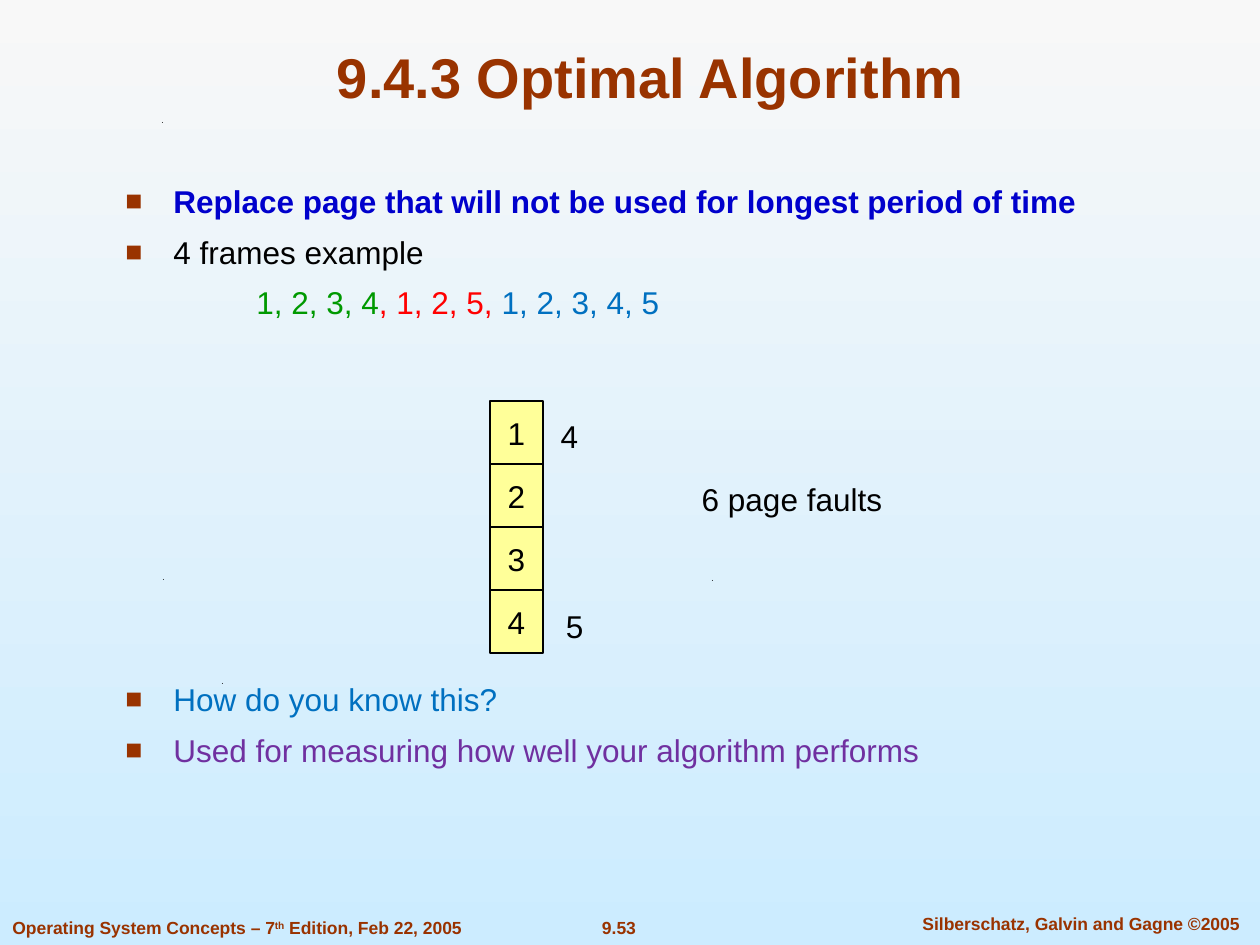
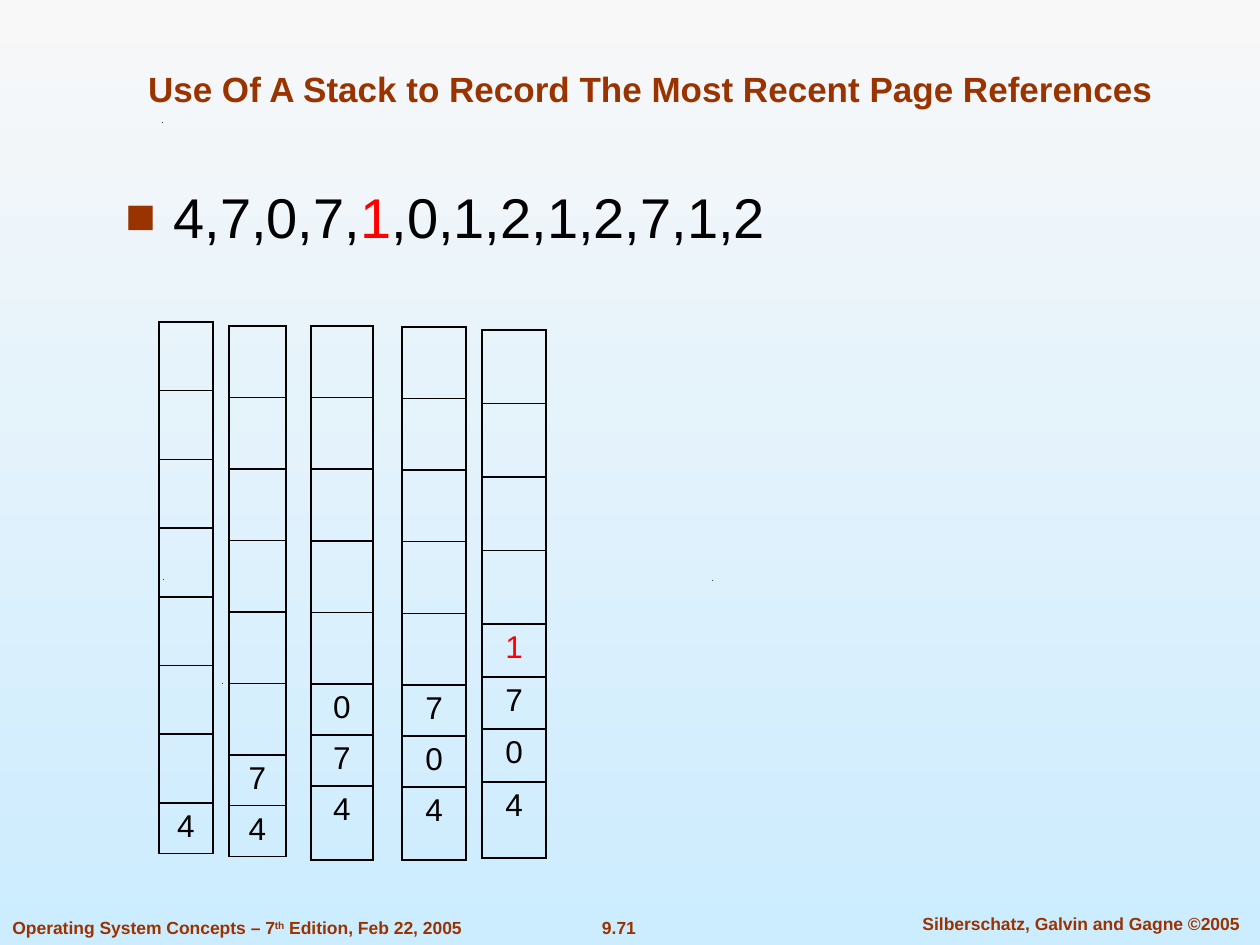
from collections import namedtuple

from lxml import etree
from pptx import Presentation
from pptx.dml.color import RGBColor
from pptx.enum.shapes import MSO_SHAPE
from pptx.enum.text import MSO_ANCHOR, PP_ALIGN
from pptx.oxml.ns import qn
from pptx.util import Emu, Pt

LEFT, CENTER = PP_ALIGN.LEFT, PP_ALIGN.CENTER
TOP, MIDDLE, BOTTOM = MSO_ANCHOR.TOP, MSO_ANCHOR.MIDDLE, MSO_ANCHOR.BOTTOM
RECTANGLE = MSO_SHAPE.RECTANGLE

BROWN = RGBColor(0x99, 0x33, 0x00)
BLACK = RGBColor(0x00, 0x00, 0x00)
RED = RGBColor(0xFF, 0x00, 0x00)
GREEN = RGBColor(0x00, 0x99, 0x00)
NAVY = RGBColor(0x00, 0x00, 0xCC)
BLUE = RGBColor(0x00, 0x70, 0xC0)
PURPLE = RGBColor(0x70, 0x30, 0xA0)
YELLOW = RGBColor(0xFF, 0xFF, 0x99)
SKY_TOP = RGBColor(0xF8, 0xF8, 0xF8)
SKY_BOTTOM = RGBColor(0xCC, 0xEC, 0xFF)

FONT = "Arial"
BODY_SIZE = 18
FOOTER = {"size": 10, "color": BROWN, "bold": True}
HANGING = 48
SEQUENCE_INDENT = 131
SPECKS = [(222, 683), (163, 579), (712, 580), (162, 122)]

Run = namedtuple("Run", "text color bold superscript", defaults=(BLACK, False, False))
Line = namedtuple("Line", "runs bulleted", defaults=(True,))
Stack = namedtuple("Stack", "left top width empty_rows empty_height pages heights")

STACKS = [
    Stack(159, 322, 54, 7, 481, "4", [50]),
    Stack(229, 326, 57, 6, 429, "74", [50, 51]),
    Stack(311, 326, 62, 5, 358, "074", [51, 51, 74]),
    Stack(402, 327, 64, 5, 358, "704", [51, 51, 73]),
    Stack(482, 330, 64, 4, 294, "1704", [53, 52, 53, 76]),
]


def px(value):
    return Emu(round(value * 914400 / 126))


def set_format(target, values):
    for name, value in values.items():
        setattr(target, name, value)


def add_run(paragraph, text, size=BODY_SIZE, color=BLACK, bold=False, superscript=False):
    run = paragraph.add_run()
    run.text = text
    set_format(run.font, {"name": FONT, "size": Pt(size), "bold": bold})
    run.font.color.rgb = color
    if superscript:
        run._r.get_or_add_rPr().set("baseline", "30000")


def add_box(slide, box, anchor=TOP):
    shape = slide.shapes.add_textbox(*map(px, box))
    set_format(shape.text_frame, {"word_wrap": True, "vertical_anchor": anchor})
    return shape.text_frame


def add_label(slide, box, text, align=CENTER, anchor=MIDDLE, **style):
    paragraph = add_box(slide, box, anchor).paragraphs[0]
    paragraph.alignment = align
    add_run(paragraph, text, **style)
    return paragraph


def add_bullet(properties):
    color = etree.SubElement(properties, qn("a:buClr"))
    etree.SubElement(color, qn("a:srgbClr"), val=str(BROWN))
    etree.SubElement(properties, qn("a:buSzPct"), val="90000")
    etree.SubElement(properties, qn("a:buFont"), typeface=FONT)
    etree.SubElement(properties, qn("a:buChar"), char="■")


def add_body(slide, box, lines, size=BODY_SIZE):
    frame = add_box(slide, box)
    for index, line in enumerate(lines):
        paragraph = frame.add_paragraph() if index else frame.paragraphs[0]
        properties = paragraph._p.get_or_add_pPr()
        if line.bulleted:
            properties.set("marL", str(px(HANGING)))
            properties.set("indent", str(-px(HANGING)))
            add_bullet(properties)
        else:
            properties.set("marL", str(px(SEQUENCE_INDENT)))
        if index:
            paragraph.space_before = Pt(7.25)
        for run in line.runs:
            add_run(paragraph, run.text, size, run.color, run.bold, run.superscript)


def add_speck(slide, left, top):
    builder = slide.shapes.build_freeform(px(left), px(top + 1))
    builder.add_line_segments([(px(left + 1), px(top)), (px(left + 1), px(top + 1))])
    speck = builder.convert_to_shape()
    speck.shadow.inherit = False
    speck.fill.solid()
    speck.fill.fore_color.rgb = BLACK
    speck.line.fill.background()


def add_slide(presentation, title, title_size, number):
    slide = presentation.slides.add_slide(presentation.slide_layouts[6])
    fill = slide.background.fill
    fill.gradient()
    fill.gradient_angle = 270
    for stop, color in zip(fill.gradient_stops, (SKY_TOP, SKY_BOTTOM)):
        stop.color.rgb = color
    for left, top in SPECKS:
        add_speck(slide, left, top)
    add_label(slide, (580, 911, 78, 34), number, anchor=TOP, **FOOTER)
    add_label(slide, (902, 907, 358, 34), "Silberschatz, Galvin and Gagne ©2005", anchor=TOP, **FOOTER)
    edition = add_label(slide, (0, 911, 476, 34), "Operating System Concepts – 7", LEFT, TOP, **FOOTER)
    add_run(edition, "th", superscript=True, **FOOTER)
    add_run(edition, " Edition, Feb 22, 2005", **FOOTER)
    add_label(slide, (94, 32, 1113, 84), title, anchor=BOTTOM, size=title_size, color=BROWN, bold=True)
    return slide


def add_frame(slide, box, text):
    shape = slide.shapes.add_shape(RECTANGLE, *map(px, box))
    shape.shadow.inherit = False
    shape.fill.solid()
    shape.fill.fore_color.rgb = YELLOW
    shape.line.color.rgb = BLACK
    shape.line.width = Pt(0.75)
    set_format(shape.text_frame, {"word_wrap": False, "vertical_anchor": MIDDLE})
    paragraph = shape.text_frame.paragraphs[0]
    paragraph.alignment = CENTER
    add_run(paragraph, text)


def set_borders(cell):
    properties = cell._tc.get_or_add_tcPr()
    for index, side in enumerate(("lnL", "lnR", "lnT", "lnB")):
        border = etree.Element(qn(f"a:{side}"), w=str(Pt(1)))
        fill = etree.SubElement(border, qn("a:solidFill"))
        etree.SubElement(fill, qn("a:srgbClr"), val=str(BLACK))
        properties.insert(index, border)


def add_stack(slide, stack, highlight):
    heights = [stack.empty_height / stack.empty_rows] * stack.empty_rows + stack.heights
    pages = [""] * stack.empty_rows + list(stack.pages)
    box = (stack.left, stack.top, stack.width, sum(heights))
    table = slide.shapes.add_table(len(heights), 1, *map(px, box)).table
    set_format(table, {"first_row": False, "horz_banding": False})
    for index, (height, page) in enumerate(zip(heights, pages)):
        table.rows[index].height = px(height)
        cell = table.cell(index, 0)
        cell.fill.background()
        set_borders(cell)
        if page:
            paragraph = cell.text_frame.paragraphs[0]
            paragraph.alignment = CENTER
            add_run(paragraph, page, color=RED if page == highlight else BLACK)


def build_optimal_slide(presentation):
    slide = add_slide(presentation, "9.4.3 Optimal Algorithm", 32, "9.53")
    add_body(slide, (113, 176, 1013, 160), [
        Line([Run("Replace page that will not be used for longest period of time", NAVY, True)]),
        Line([Run("4 frames example")]),
        Line([Run("1, 2, 3, 4", GREEN), Run(", 1, 2, 5, ", RED), Run("1, 2, 3, 4, 5", BLUE)], False),
    ])
    add_body(slide, (113, 674, 1013, 110), [
        Line([Run("How do you know this?", BLUE)]),
        Line([Run("Used for measuring how well your algorithm performs", PURPLE)]),
    ])
    for index in range(4):
        add_frame(slide, (490, 401 + 63 * index, 53, 63), str(index + 1))
    add_label(slide, (548, 411, 43, 50), "4")
    add_label(slide, (553, 601, 43, 50), "5")
    add_label(slide, (652, 474, 280, 50), "6 page faults")


def build_stack_slide(presentation):
    title = "Use Of A Stack to Record The Most Recent Page References"
    slide = add_slide(presentation, title, 20, "9.71")
    references = [Run("4,7,0,7,"), Run("1", RED), Run(",0,1,2,1,2,7,1,2")]
    add_body(slide, (113, 176, 1013, 92), [Line(references)], 32)
    for stack in STACKS:
        add_stack(slide, stack, "1")


def main():
    presentation = Presentation()
    set_format(presentation, {"slide_width": px(1260), "slide_height": px(945)})
    build_optimal_slide(presentation)
    build_stack_slide(presentation)
    presentation.save("out.pptx")


if __name__ == "__main__":
    main()
